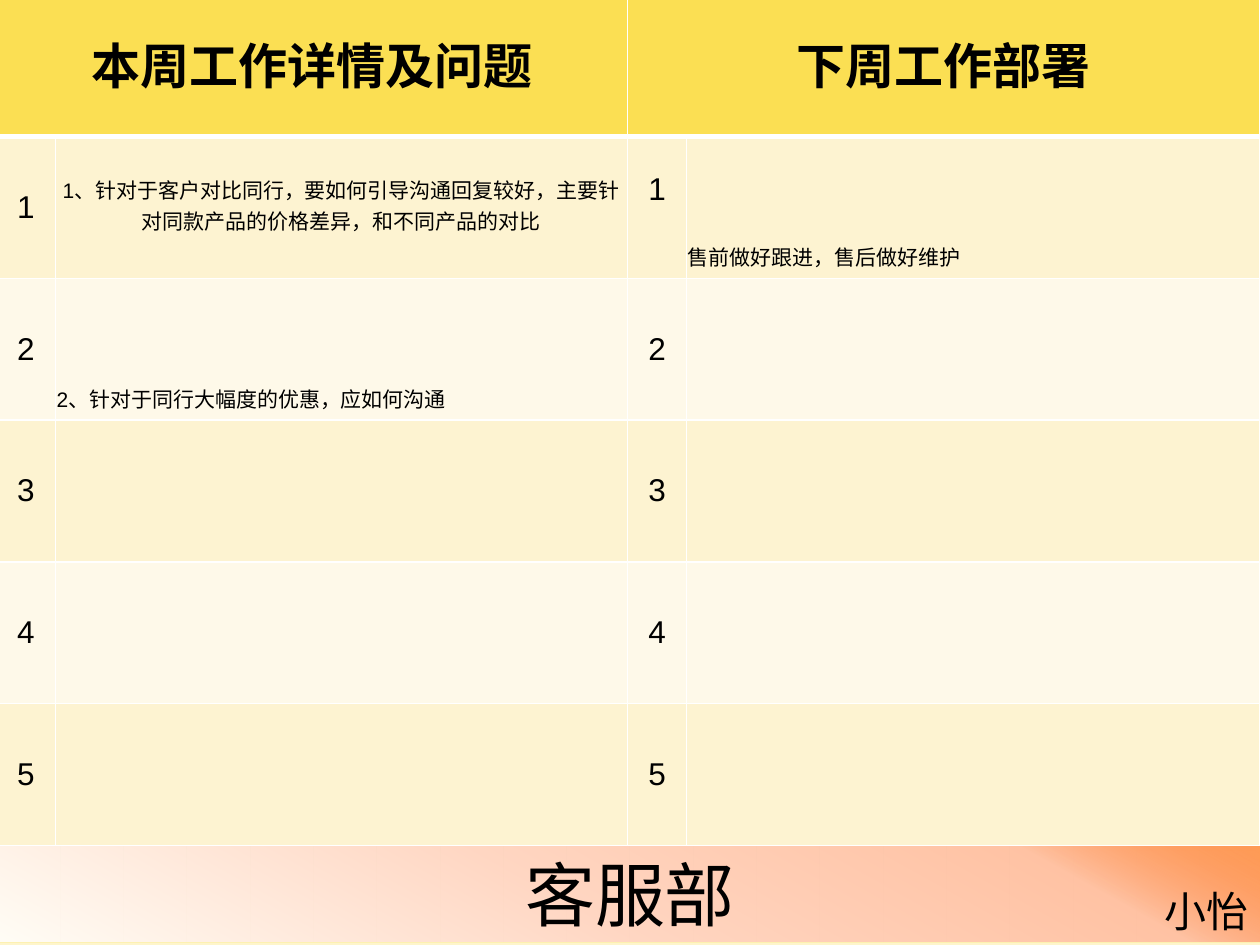
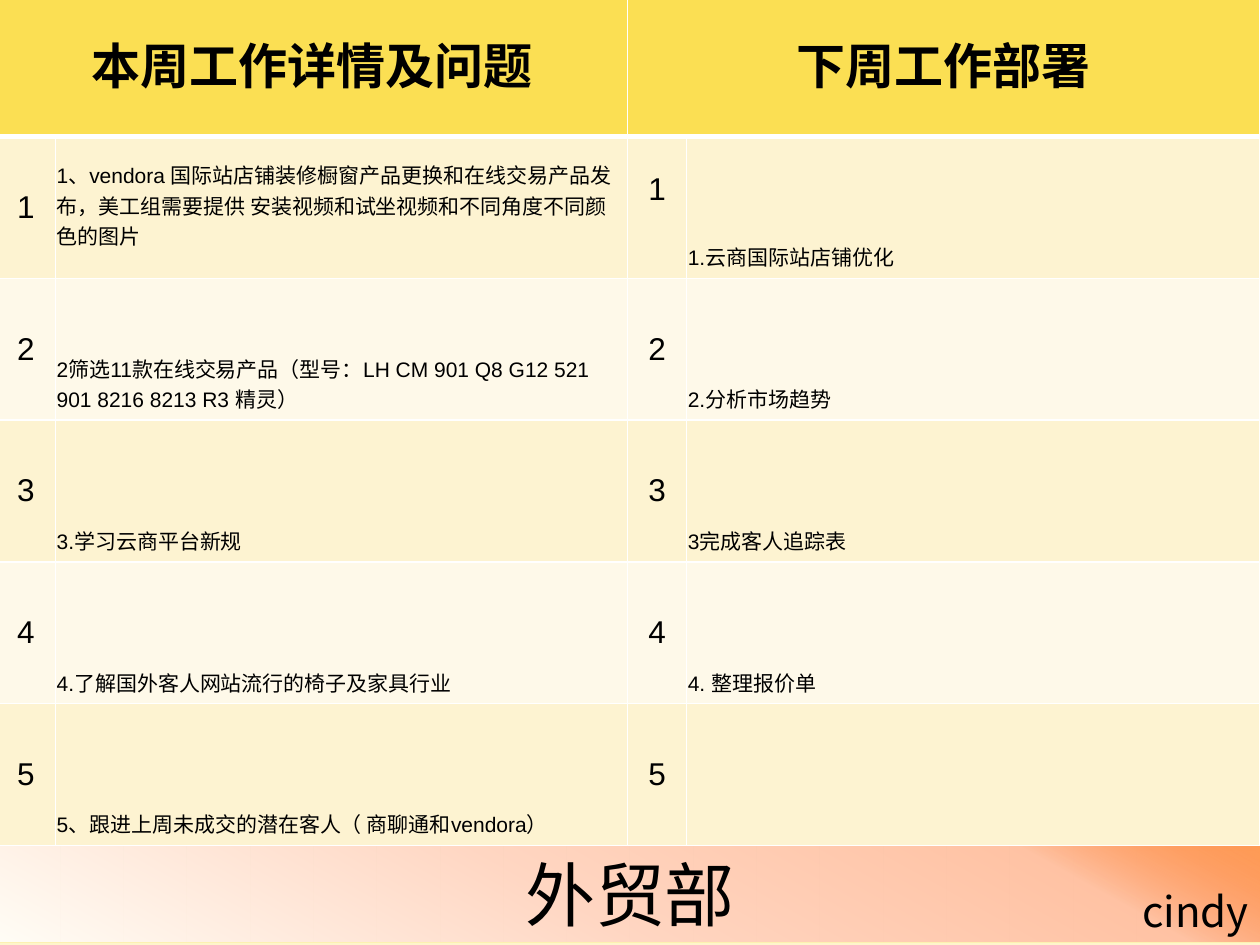
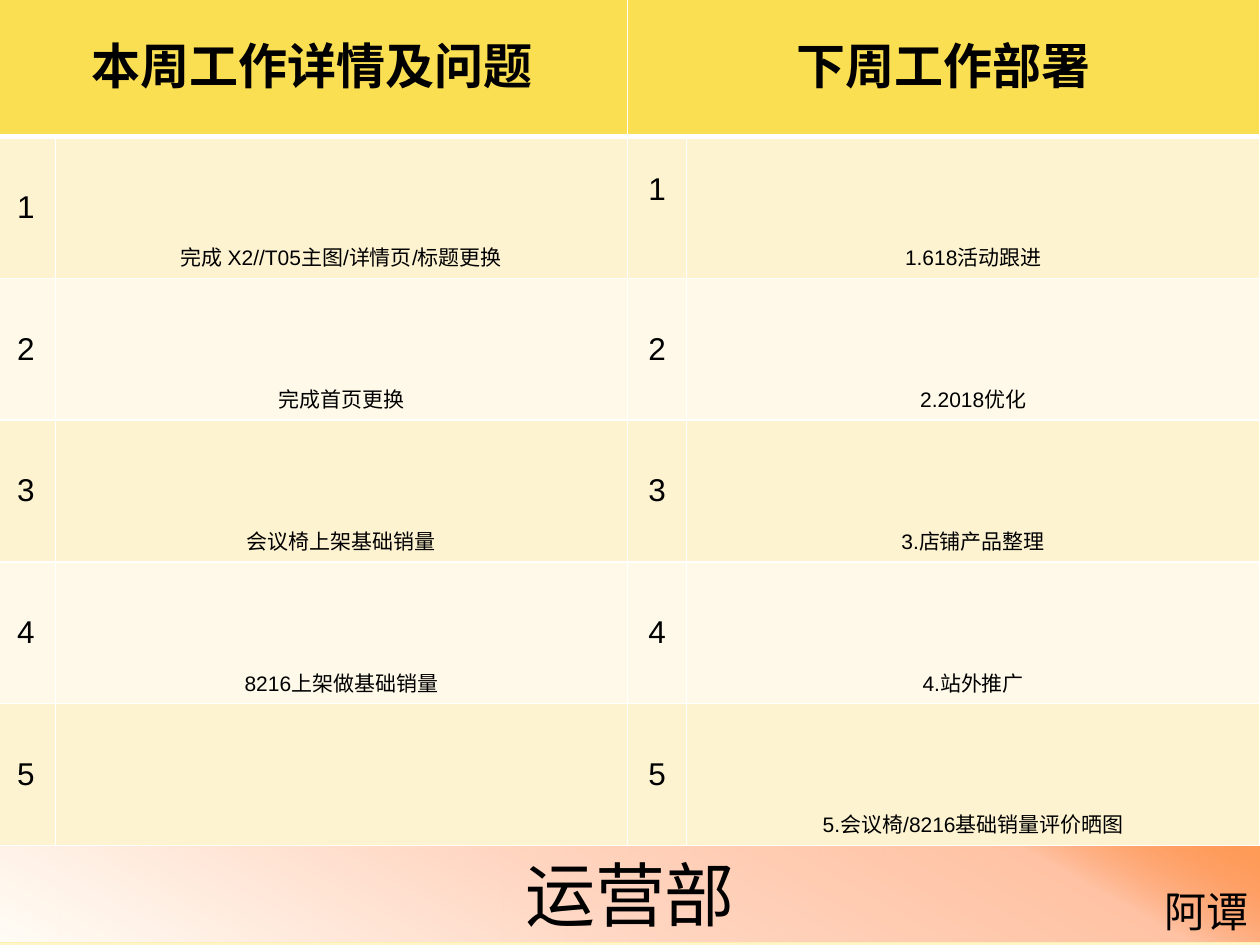
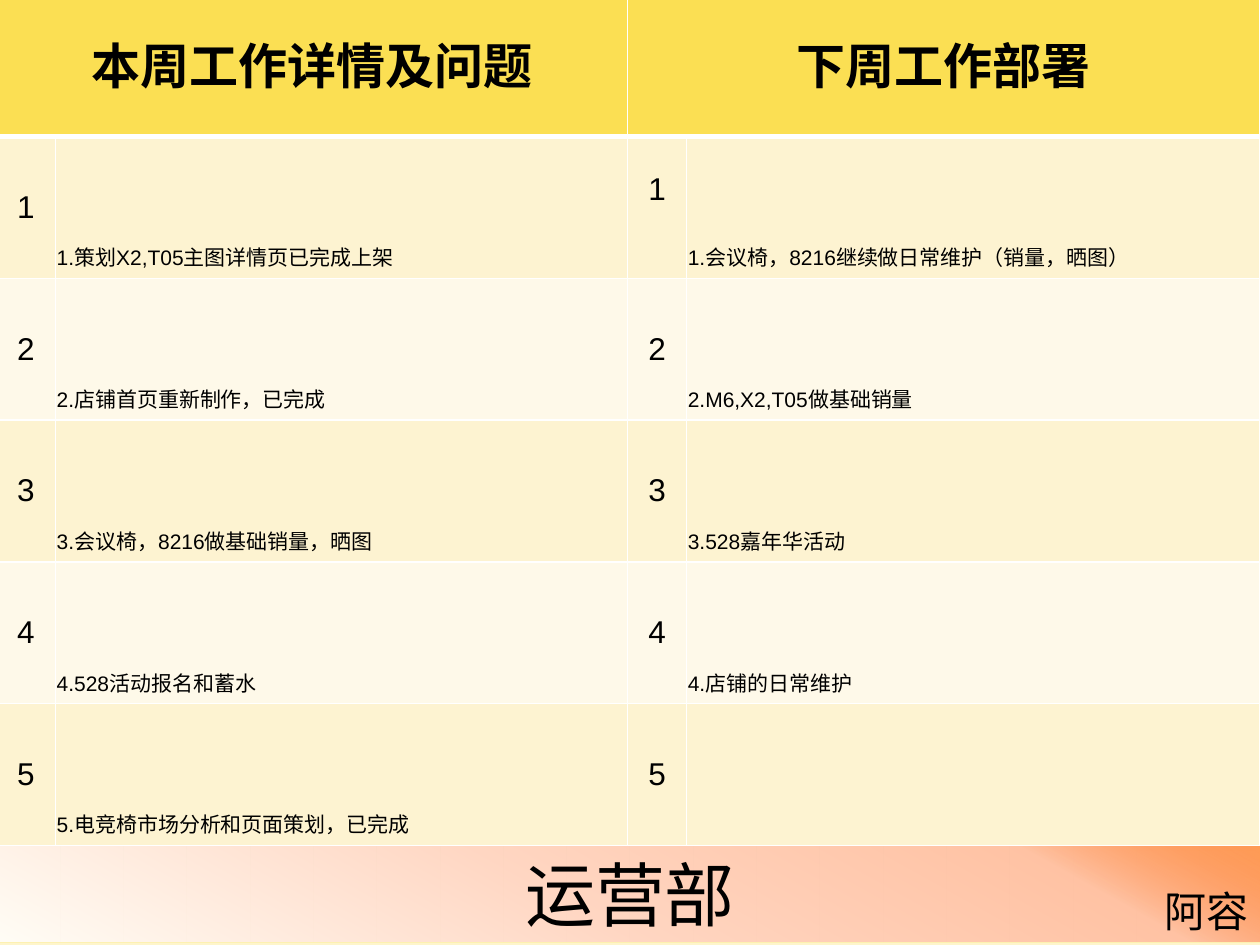
from dataclasses import dataclass

from lxml import etree
from pptx import Presentation
from pptx.dml.color import RGBColor
from pptx.enum.shapes import MSO_SHAPE
from pptx.enum.text import MSO_ANCHOR, MSO_AUTO_SIZE, PP_ALIGN
from pptx.oxml.ns import qn
from pptx.util import Inches, Pt

RECTANGLE = MSO_SHAPE.RECTANGLE
LEFT, CENTER, RIGHT = PP_ALIGN.LEFT, PP_ALIGN.CENTER, PP_ALIGN.RIGHT
TOP, MIDDLE, BOTTOM = MSO_ANCHOR.TOP, MSO_ANCHOR.MIDDLE, MSO_ANCHOR.BOTTOM

# Shared look
HAN_FONT, LATIN_FONT = "Noto Sans CJK SC", "Arial"
BLACK, WHITE = "000000", "FFFFFF"
HEADER_FILL = "FBDF53"
ROW_FILLS = ("FDF3D1", "FEF9E9")
BAND_LINE = "FDF1B2"
# Gradient stops: position, colour, opacity (all in percent)
PAGE_STOPS = ((0, "FFFDF6", 100), (74, "FDF1B2", 100), (83, "FDF1B2", 100), (100, "FEF5CB", 100))
BAND_STOPS = ((0, "FFFDF6", 100), (45, "FFD6C2", 100), (83, "FFC2A3", 100), (100, "FF5D0D", 58))

HEADERS = ("本周工作详情及问题", "下周工作部署")
ROW_COUNT = 5
COLUMN_WIDTHS = (0.47, 4.54, 0.47, 4.55)
TABLE_HEIGHT = 6.75


@dataclass
class Entry:
    text: str
    align: PP_ALIGN = LEFT
    anchor: MSO_ANCHOR = BOTTOM


@dataclass
class Report:
    department: str
    person: str
    name_width: float
    done: list[Entry]
    plans: list[Entry]


def entries(*texts: str, align: PP_ALIGN = LEFT) -> list[Entry]:
    return [Entry(text, align) for text in texts]


REPORTS = [
    Report(
        "客服部", "小怡", 0.87,
        [Entry("1、针对于客户对比同行，要如何引导沟通回复较好，主要针对同款产品的价格差异，和不同产品的对比",
               CENTER, MIDDLE),
         Entry("2、针对于同行大幅度的优惠，应如何沟通")],
        entries("售前做好跟进，售后做好维护"),
    ),
    Report(
        "外贸部", "cindy", 1.1,
        [Entry("1、vendora 国际站店铺装修橱窗产品更换和在线交易产品发布，美工组需要提供 "
               "安装视频和试坐视频和不同角度不同颜色的图片", anchor=MIDDLE),
         *entries("2筛选11款在线交易产品（型号：LH CM 901 Q8 G12 521 901 8216 8213 R3 精灵）",
                  "3.学习云商平台新规",
                  "4.了解国外客人网站流行的椅子及家具行业",
                  "5、跟进上周未成交的潜在客人（ 商聊通和vendora）")],
        entries("1.云商国际站店铺优化", "2.分析市场趋势", "3完成客人追踪表", "4. 整理报价单"),
    ),
    Report(
        "运营部", "阿谭", 0.87,
        entries("完成 X2//T05主图/详情页/标题更换", "完成首页更换", "会议椅上架基础销量",
                "8216上架做基础销量", align=CENTER),
        entries("1.618活动跟进", "2.2018优化", "3.店铺产品整理", "4.站外推广",
                "5.会议椅/8216基础销量评价晒图", align=CENTER),
    ),
    Report(
        "运营部", "阿容", 0.87,
        entries("1.策划X2,T05主图详情页已完成上架", "2.店铺首页重新制作，已完成",
                "3.会议椅，8216做基础销量，晒图", "4.528活动报名和蓄水",
                "5.电竞椅市场分析和页面策划，已完成"),
        entries("1.会议椅，8216继续做日常维护（销量，晒图）", "2.M6,X2,T05做基础销量",
                "3.528嘉年华活动", "4.店铺的日常维护"),
    ),
]


# Helpers
def color(value: str) -> RGBColor:
    return RGBColor.from_string(value)


def set_gradient(fill, element, stops, angle: int) -> None:
    """Give the first gradient found in element these stops and this angle."""
    fill.gradient()
    gradient = element.find(".//" + qn("a:gradFill"))
    for child in list(gradient):
        gradient.remove(child)
    stop_list = etree.SubElement(gradient, qn("a:gsLst"))
    for position, value, opacity in stops:
        stop = etree.SubElement(stop_list, qn("a:gs"), pos=str(position * 1000))
        tone = etree.SubElement(stop, qn("a:srgbClr"), val=value)
        if opacity < 100:
            etree.SubElement(tone, qn("a:alpha"), val=str(opacity * 1000))
    etree.SubElement(gradient, qn("a:lin"), ang=str(angle * 60000), scaled="0")


def write(frame, text: str, size: int, align: PP_ALIGN, font: str = HAN_FONT, bold: bool = False) -> None:
    frame.text = text
    paragraph = frame.paragraphs[0]
    paragraph.alignment = align
    for span in paragraph.runs:
        span.font.size = Pt(size)
        span.font.bold = bold
        span.font.name = font
        span.font.color.rgb = color(BLACK)
        east_asian = etree.Element(qn("a:ea"), typeface=HAN_FONT)
        span.font._element.find(qn("a:latin")).addnext(east_asian)


def set_borders(cell, top: int = 1, bottom: int = 1) -> None:
    properties = cell._tc.get_or_add_tcPr()
    sides = {"a:lnL": 1, "a:lnR": 1, "a:lnT": top, "a:lnB": bottom}
    for index, (side, width) in enumerate(sides.items()):
        line = etree.Element(qn(side), w=str(Pt(width)))
        fill = etree.SubElement(line, qn("a:solidFill"))
        etree.SubElement(fill, qn("a:srgbClr"), val=WHITE)
        properties.insert(index, line)


def set_tight_margins(cell) -> None:
    cell.margin_left = cell.margin_right = cell.margin_top = Inches(0.01)
    cell.margin_bottom = Inches(0.05)


# Parts of a page
def add_band(page, department: str) -> None:
    band = page.shapes.add_shape(RECTANGLE, Inches(-0.02), Inches(6.71), Inches(10.04), Inches(0.77))
    band.shadow.inherit = False
    set_gradient(band.fill, band._element, BAND_STOPS, 299)
    band.line.color.rgb = color(BAND_LINE)
    band.line.width = Pt(0.75)
    band.text_frame.vertical_anchor = MIDDLE
    write(band.text_frame, department, 40, CENTER)


def add_person(page, person: str, width: float) -> None:
    box = page.shapes.add_textbox(Inches(10.01 - width), Inches(6.98), Inches(width), Inches(0.5))
    box.text_frame.word_wrap = False
    box.text_frame.auto_size = MSO_AUTO_SIZE.SHAPE_TO_FIT_TEXT
    box.text_frame.vertical_anchor = TOP
    write(box.text_frame, person, 24, RIGHT)


def fill_header(table, column: int, title: str) -> None:
    table.cell(0, column).merge(table.cell(0, column + 1))
    for cell in (table.cell(0, column), table.cell(0, column + 1)):
        cell.fill.solid()
        cell.fill.fore_color.rgb = color(HEADER_FILL)
        set_borders(cell, bottom=3)
    cell = table.cell(0, column)
    cell.vertical_anchor = MIDDLE
    set_tight_margins(cell)
    write(cell.text_frame, title, 28, CENTER, bold=True)


def fill_list(table, column: int, items: list[Entry]) -> None:
    for row in range(1, ROW_COUNT + 1):
        number, detail = table.cell(row, column), table.cell(row, column + 1)
        for cell in (number, detail):
            cell.fill.solid()
            cell.fill.fore_color.rgb = color(ROW_FILLS[(row - 1) % 2])
            set_borders(cell, top=3 if row == 1 else 1)
        number.vertical_anchor = MIDDLE
        write(number.text_frame, str(row), 18, CENTER, LATIN_FONT)
        if row <= len(items):
            item = items[row - 1]
            detail.vertical_anchor = item.anchor
            set_tight_margins(detail)
            write(detail.text_frame, item.text, 12, item.align, LATIN_FONT)


def add_report_table(page, report: Report) -> None:
    table = page.shapes.add_table(ROW_COUNT + 1, len(COLUMN_WIDTHS), Inches(-0.03), Inches(-0.04),
                                  Inches(sum(COLUMN_WIDTHS)), Inches(TABLE_HEIGHT)).table
    table.horz_banding = table.first_row = False
    for column, width in zip(table.columns, COLUMN_WIDTHS):
        column.width = Inches(width)
    for row in table.rows:
        row.height = Inches(TABLE_HEIGHT / (ROW_COUNT + 1))
    for half, items in enumerate((report.done, report.plans)):
        fill_header(table, 2 * half, HEADERS[half])
        fill_list(table, 2 * half, items)
    # The first plan number sits a little above the middle
    table.cell(1, 2).margin_bottom = Inches(0.33)


# Build the deck
deck = Presentation()
deck.slide_width, deck.slide_height = Inches(10), Inches(7.5)
for report in REPORTS:
    page = deck.slides.add_slide(deck.slide_layouts[6])
    set_gradient(page.background.fill, page._element, PAGE_STOPS, 90)
    add_band(page, report.department)
    add_person(page, report.person, report.name_width)
    add_report_table(page, report)
deck.save("out.pptx")
